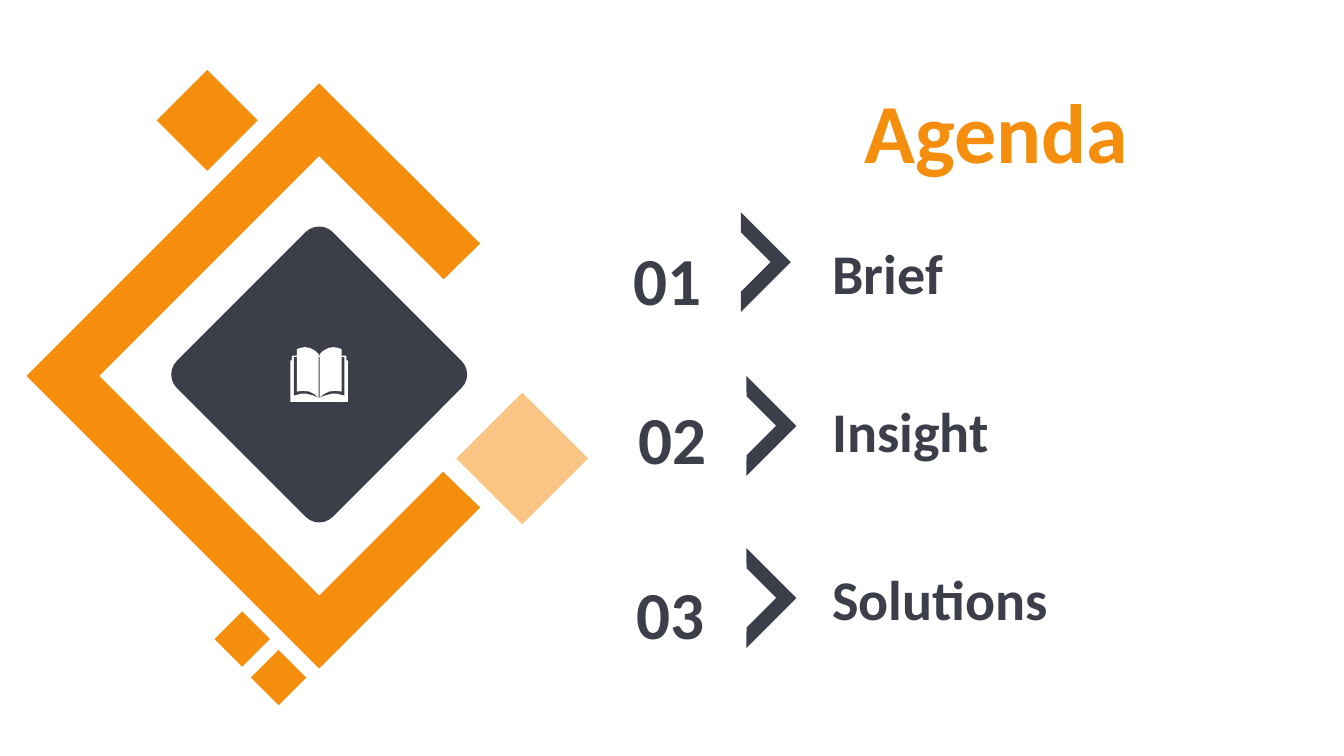
from lxml import etree
from pptx import Presentation
from pptx.dml.color import RGBColor
from pptx.enum.shapes import MSO_SHAPE as Preset
from pptx.enum.text import MSO_ANCHOR as Anchor, PP_ALIGN as Align
from pptx.oxml.ns import qn
from pptx.util import Pt

ORANGE, SLATE, WHITE = "F48E0C", "3C3E4A", "FFFFFF"
FONT = "Calibri"

# Offsets from the centre of the emblem.
BRACKET = [(0, -209), (115, -94.5), (89, -69), (0, -157), (-157, 0),
           (0, 157), (88.5, 68.5), (115, 94), (0, 209), (-209, 0)]
# Centre offset, side and opacity of each small diamond.
SMALL_DIAMONDS = [(-80, -182.5, 51, 100), (-29, 215.5, 28, 100),
                  (-55, 188, 28, 100), (145, 59, 66.5, 50)]
# Right half of each layer of the book: distance from the spine, depth.
BOOK_LAYERS = [
    (WHITE, [(0, 6), (19.5, 6), (19.5, 9.5), (20.5, 9.5), (20.5, 39), (0, 39)]),
    (SLATE, [(0, 7), (18, 7), (18, 34.5), (13, 33.2), (9, 33.2), (4, 34.5), (0, 36)]),
]
BOOK_PAGE = [(0.3, 5), (3, 2.5), (6.5, 0.6), (10, 0), (13, 0.4), (16, 1.4),
             (16, 31.7), (11.5, 31.2), (7, 31.7), (3.5, 33.5), (0.3, 36)]

# Row top, label, then number and chevron boxes relative to the row.
ROWS = [
    (167, "Brief", (2, 0, 76), (67, -5)),
    (280, "Insight", (4, 0, 79), (71, -1)),
    (400, "Solutions", (0, 5, 84), (71, 2)),
]


def color(hex_string):
    return RGBColor.from_string(hex_string)


def paint(shape, fill, opacity=100):
    shape.shadow.inherit = False
    shape.fill.solid()
    shape.fill.fore_color.rgb = color(fill)
    shape.line.fill.background()
    if opacity < 100:
        fill_color = shape.fill._xPr.find(qn("a:solidFill"))[0]
        etree.SubElement(fill_color, qn("a:alpha")).set("val", str(opacity * 1000))


def add_square(slide, preset, left, top, side, fill, rotation,
               adjustments=(), opacity=100):
    shape = slide.shapes.add_shape(preset, Pt(left), Pt(top), Pt(side), Pt(side))
    shape.rotation = rotation
    for index, value in enumerate(adjustments):
        shape.adjustments[index] = value
    paint(shape, fill, opacity)


def add_outline(slide, left, top, points, fill):
    """Draw a closed outline whose points are offsets from left, top."""
    corners = [(Pt(left + x), Pt(top + y)) for x, y in points]
    builder = slide.shapes.build_freeform(*corners[0])
    builder.add_line_segments(corners[1:], close=True)
    paint(builder.convert_to_shape(), fill)


def add_text(slide, box, text, size, fill, align=Align.LEFT, anchor=Anchor.TOP,
             side_inset=8.6):
    frame = slide.shapes.add_textbox(*map(Pt, box)).text_frame
    frame_format = {
        "word_wrap": True, "vertical_anchor": anchor,
        "margin_left": Pt(side_inset), "margin_right": Pt(side_inset),
        "margin_top": Pt(3.6), "margin_bottom": Pt(3.6),
    }
    for name, value in frame_format.items():
        setattr(frame, name, value)
    paragraph = frame.paragraphs[0]
    paragraph.alignment = align
    run = paragraph.add_run()
    run.text = text
    for name, value in {"name": FONT, "size": Pt(size), "bold": True}.items():
        setattr(run.font, name, value)
    run.font.color.rgb = color(fill)


def mirrored(points):
    return [(-x, y) for x, y in points]


def draw_book(slide, spine, top):
    for fill, half in BOOK_LAYERS:
        add_outline(slide, spine, top, half + mirrored(half)[::-1], fill)
    for page in (BOOK_PAGE, mirrored(BOOK_PAGE)):
        add_outline(slide, spine, top, page, WHITE)


def draw_emblem(slide, center_x, center_y):
    side = 157.5
    add_square(slide, Preset.ROUNDED_RECTANGLE, center_x - side / 2,
               center_y - 1 - side / 2, side, SLATE, 45, [0.087])
    for x, y, side, opacity in SMALL_DIAMONDS:
        add_square(slide, Preset.RECTANGLE, center_x + x - side / 2,
                   center_y + y - side / 2, side, ORANGE, 45, opacity=opacity)
    add_outline(slide, center_x, center_y, BRACKET, ORANGE)
    draw_book(slide, center_x, center_y - 20.5)


def draw_row(slide, left, top, number, label, number_box, chevron_place):
    add_text(slide, (left + 149, top, 355, 55.5), label, 40, SLATE)
    x, y, width = number_box
    add_text(slide, (left + x, top + y, width, 65.5), number, 48, SLATE, Align.CENTER)
    x, y = chevron_place
    add_square(slide, Preset.HALF_FRAME, left + x, top + y, 50.4, SLATE, 135,
               [0.204, 0.201])


def main():
    presentation = Presentation()
    presentation.slide_width, presentation.slide_height = Pt(960), Pt(540)
    slide = presentation.slides.add_slide(presentation.slide_layouts[6])
    draw_emblem(slide, 228, 268.5)
    add_text(slide, (610.5, 52.5, 349, 80), "Agenda", 60, ORANGE,
             anchor=Anchor.MIDDLE, side_inset=7.2)
    for index, (top, label, number_box, chevron_place) in enumerate(ROWS, 1):
        draw_row(slide, 437, top, f"{index:02}", label, number_box, chevron_place)
    presentation.save("out.pptx")


if __name__ == "__main__":
    main()
